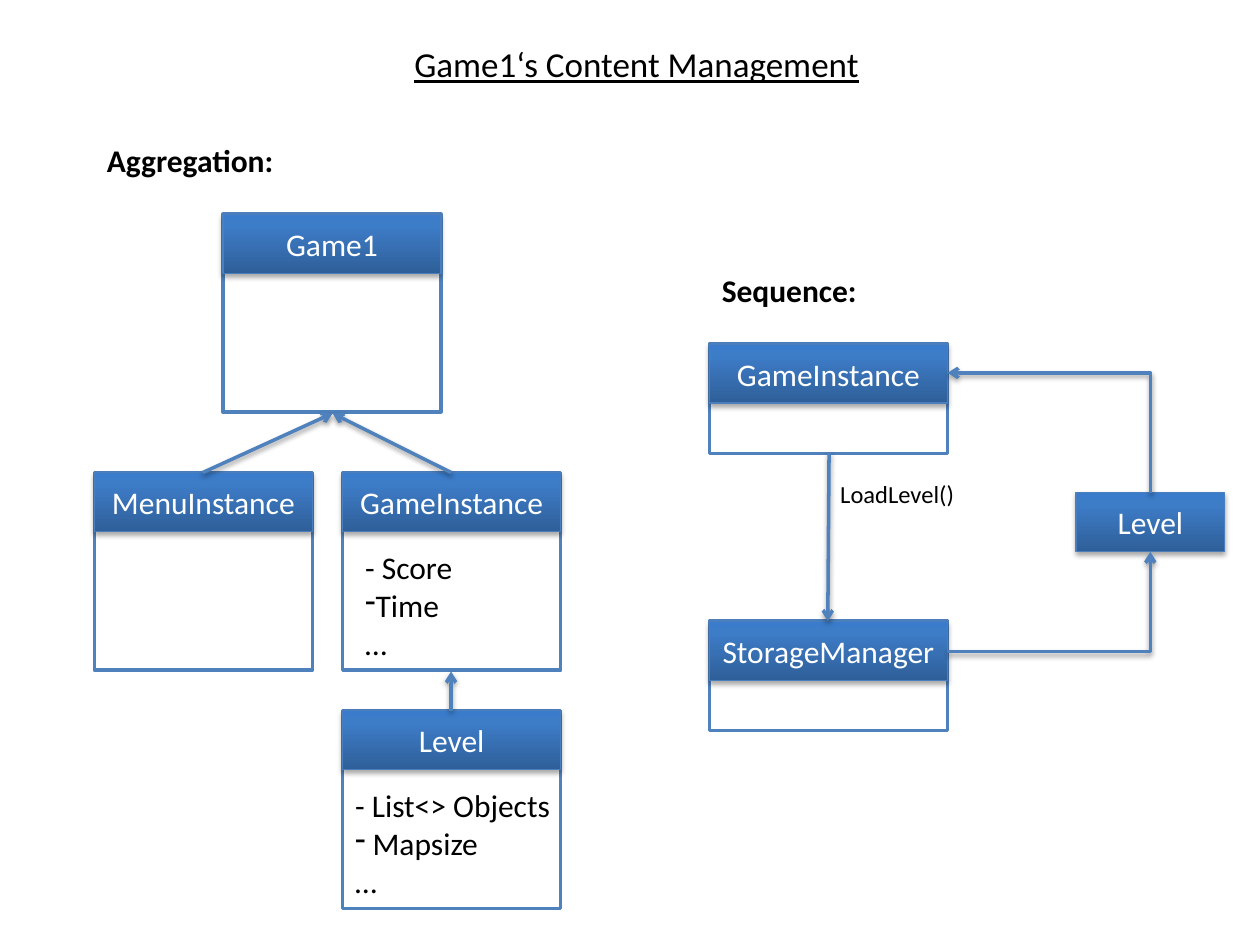
from lxml import etree
from pptx import Presentation
from pptx.dml.color import RGBColor
from pptx.enum.shapes import MSO_CONNECTOR as Link, MSO_SHAPE as Preset
from pptx.enum.text import MSO_ANCHOR as Anchor, MSO_AUTO_SIZE as AutoSize, PP_ALIGN as Align
from pptx.oxml.ns import qn
from pptx.util import Inches, Pt

BLACK = RGBColor(0, 0, 0)
WHITE = RGBColor(255, 255, 255)
BLUE = RGBColor(0x4F, 0x81, 0xBD)
EDGE = RGBColor(0x4B, 0x7E, 0xBC)
HEADER_STOPS = (
    (0, RGBColor(0x2F, 0x5F, 0x99)),
    (80, RGBColor(0x3D, 0x7C, 0xC7)),
    (100, RGBColor(0x3A, 0x7C, 0xCB)),
)
HEADER_HEIGHT = 0.47


def add_node(parent, tag, **values):
    node = etree.SubElement(parent, qn(tag))
    for name, value in values.items():
        node.set(name, str(value))
    return node


class Diagram:
    font = "Calibri"
    line_width = 2

    def __init__(self, slide):
        self.slide = slide

    def add_span(self, para, text, color=BLACK, **formats):
        span = para.add_run()
        span.text = text
        for name, value in {"name": self.font, "size": Pt(18), **formats}.items():
            setattr(span.font, name, value)
        span.font.color.rgb = color

    def text(self, left, top, width, height, lines, **formats):
        box = self.slide.shapes.add_textbox(*map(Inches, (left, top, width, height)))
        frame = box.text_frame
        frame.word_wrap = False
        frame.auto_size = AutoSize.SHAPE_TO_FIT_TEXT
        for index, (text, bullet) in enumerate(lines):
            para = frame.add_paragraph() if index else frame.paragraphs[0]
            if bullet:
                properties = para._p.get_or_add_pPr()
                add_node(properties, "a:buFontTx")
                add_node(properties, "a:buChar", char=bullet)
            self.add_span(para, text, **formats)

    def shadow(self, shape, opacity, distance):
        effects = add_node(shape._element.spPr, "a:effectLst")
        outer = add_node(effects, "a:outerShdw", blurRad=Pt(3.1), dist=Pt(distance),
                         dir=5400000, rotWithShape=0)
        color = add_node(outer, "a:srgbClr", val=BLACK)
        add_node(color, "a:alpha", val=opacity * 1000)

    def rectangle(self, shapes, left, top, width, height, color, weight):
        box = shapes.add_shape(Preset.RECTANGLE, *map(Inches, (left, top, width, height)))
        box.line.color.rgb = color
        box.line.width = Pt(weight)
        return box

    def header(self, name, left, top, width, shapes=None):
        box = self.rectangle(shapes or self.slide.shapes, left, top, width,
                             HEADER_HEIGHT, EDGE, 0.75)
        box.fill.gradient()
        box.fill.gradient_angle = 90
        stops = box._element.spPr.find(".//" + qn("a:gsLst"))
        for old in list(stops):
            stops.remove(old)
        for position, color in HEADER_STOPS:
            stop = add_node(stops, "a:gs", pos=position * 1000)
            add_node(stop, "a:srgbClr", val=color)
        self.shadow(box, 35, 1.8)
        frame = box.text_frame
        frame.vertical_anchor = Anchor.MIDDLE
        para = frame.paragraphs[0]
        para.alignment = Align.CENTER
        self.add_span(para, name, color=WHITE)

    def class_box(self, name, left, top, width, height):
        shapes = self.slide.shapes.add_group_shape().shapes
        body = self.rectangle(shapes, left, top, width, height, BLUE, self.line_width)
        body.fill.solid()
        body.fill.fore_color.rgb = WHITE
        body.shadow.inherit = False
        self.header(name, left, top, width, shapes)

    def arrow(self, start, end, kind=Link.STRAIGHT):
        connector = self.slide.shapes.add_connector(kind, *map(Inches, (*start, *end)))
        connector.line.color.rgb = BLUE
        connector.line.width = Pt(self.line_width)
        add_node(connector._element.spPr.find(qn("a:ln")), "a:tailEnd", type="arrow")
        self.shadow(connector, 38, 1.6)
        return connector

    def elbow(self, start, end, upward_first=False):
        if upward_first:
            center_x, center_y = ((a + b) / 2 for a, b in zip(start, end))
            half_x, half_y = (abs(a - b) / 2 for a, b in zip(start, end))
            start = center_x - half_y, center_y + half_x
            end = center_x + half_y, center_y - half_x
        connector = self.arrow(start, end, Link.ELBOW)
        properties = connector._element.spPr
        properties.find(qn("a:prstGeom")).set("prst", "bentConnector2")
        if upward_first:
            properties.find(qn("a:xfrm")).set("rot", "16200000")


deck = Presentation()
deck.slide_width, deck.slide_height = Inches(10), Inches(7.5)
diagram = Diagram(deck.slides.add_slide(deck.slide_layouts[6]))

diagram.text(3.19, 0.29, 3.76, 0.44, [("Game1\u2018s Content Management", None)],
             size=Pt(20), underline=True)

for name, left, top in (
    ("Game1", 1.77, 1.7),
    ("MenuInstance", 0.75, 3.75),
    ("GameInstance", 2.72, 3.75),
    ("Level", 2.72, 5.64),
):
    diagram.class_box(name, left, top, 1.73, 1.57)

for start, end in (
    ((1.61, 3.75), (2.64, 3.28)),
    ((3.58, 3.75), (2.64, 3.28)),
    ((3.58, 5.64), (3.58, 5.33)),
):
    diagram.arrow(start, end)

diagram.text(2.8, 4.3, 0.9, 1.01, [("- Score", None), ("Time", "-"), ("\u2026", None)])
diagram.text(2.72, 6.19, 1.77, 1.01,
             [("- List<> Objects", None), (" Mapsize", "-"), ("\u2026", None)])

for heading, left, top, width in (
    ("Aggregation:", 0.75, 1.07, 1.53),
    ("Sequence:", 5.63, 2.1, 1.28),
):
    diagram.text(left, top, width, 0.4, [(heading, None)], bold=True)

for name, top in (("GameInstance", 2.73), ("StorageManager", 4.93)):
    diagram.class_box(name, 5.63, top, 1.89, 0.87)
diagram.header("Level", 8.54, 3.91, 1.18)

diagram.elbow((7.52, 5.17), (9.13, 4.38))
diagram.elbow((9.13, 3.91), (7.52, 2.96), upward_first=True)
diagram.arrow((6.58, 3.59), (6.57, 4.93))
diagram.text(6.57, 3.75, 1.12, 0.34, [("LoadLevel()", None)], size=Pt(14))

deck.save("out.pptx")
